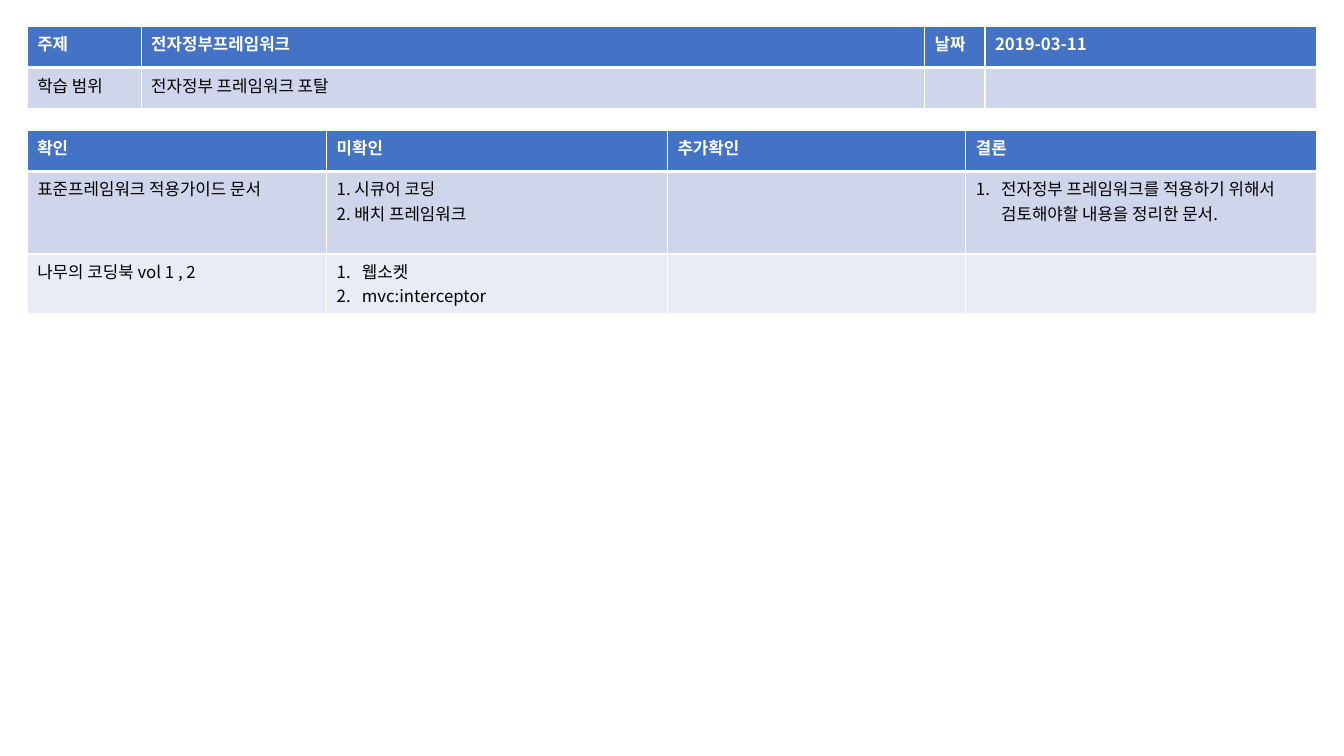
from pptx import Presentation, util as u
from pptx.dml.color import RGBColor
from pptx.oxml.ns import qn
from lxml import etree

deck = Presentation()
deck.slide_width, deck.slide_height = u.Inches(13.33), u.Inches(7.5)
slide = deck.slides.add_slide(deck.slide_layouts[6])

FACE = "Noto Sans CJK KR"
WHITE = "FFFFFF"
BANDS = ["4472C4", "CFD5EA", "E9EBF5"]
LEFT, WIDTH = 0.27, 12.8


def paint(fmt, tone):
    fmt.solid()
    fmt.fore_color.rgb = RGBColor.from_string(tone)


def add(node, tag, **attrs):
    return etree.SubElement(node, qn("a:" + tag), **attrs)


topic = [
    ["주제", "전자정부프레임워크", "날짜", "2019-03-11"],
    ["학습 범위", "전자정부 프레임워크 포탈", "", ""],
]
study = [
    ["확인", "미확인", "추가확인", "결론"],
    ["표준프레임워크 적용가이드 문서", "1. 시큐어 코딩\n2. 배치 프레임워크", "",
     "#전자정부 프레임워크를 적용하기 위해서 검토해야할 내용을 정리한 문서."],
    ["나무의 코딩북 vol 1 , 2", "#웹소켓\n#mvc:interceptor", "", ""],
]
tables = [
    (0.26, [1.13, 7.77, 0.6, 3.29], [0.41, 0.41], topic),
    (1.29, [2.97, 3.38, 2.96, 3.48], [0.41, 0.82, 0.59], study),
]

for top, cols, rows, data in tables:
    box = [u.Inches(n) for n in (LEFT, top, WIDTH, sum(rows))]
    grid = slide.shapes.add_table(len(rows), len(cols), *box).table
    for col, size in zip(grid.columns, cols):
        col.width = u.Inches(size)
    for r, size in enumerate(rows):
        grid.rows[r].height = u.Inches(size)
        head = r == 0
        style = {"size": u.Pt(12), "name": FACE, "bold": head}
        for c, words in enumerate(data[r]):
            cell = grid.cell(r, c)
            props = cell._tc.get_or_add_tcPr()
            for side in "LRTB":
                thick = (head and side == "B") or (r == 1 and side == "T")
                line = add(props, "ln" + side, w=str(u.Pt(3 if thick else 1)))
                add(add(line, "solidFill"), "srgbClr", val=WHITE)
            paint(cell.fill, BANDS[r])
            cell.text = words.replace("#", "")
            for para, raw in zip(cell.text_frame.paragraphs, words.split("\n")):
                if raw.startswith("#"):
                    form = para._p.get_or_add_pPr()
                    form.set("marL", str(u.Inches(0.25)))
                    form.set("indent", str(-u.Inches(0.25)))
                    add(form, "buFont", typeface=FACE)
                    add(form, "buAutoNum", type="arabicPeriod")
                for run in para.runs:
                    for key, val in style.items():
                        setattr(run.font, key, val)
                    paint(run.font.fill, WHITE if head else "000000")
                    add(run._r.get_or_add_rPr(), "ea", typeface=FACE)
                if not raw:
                    add(para._p, "endParaRPr", sz="1200")

deck.save("out.pptx")
